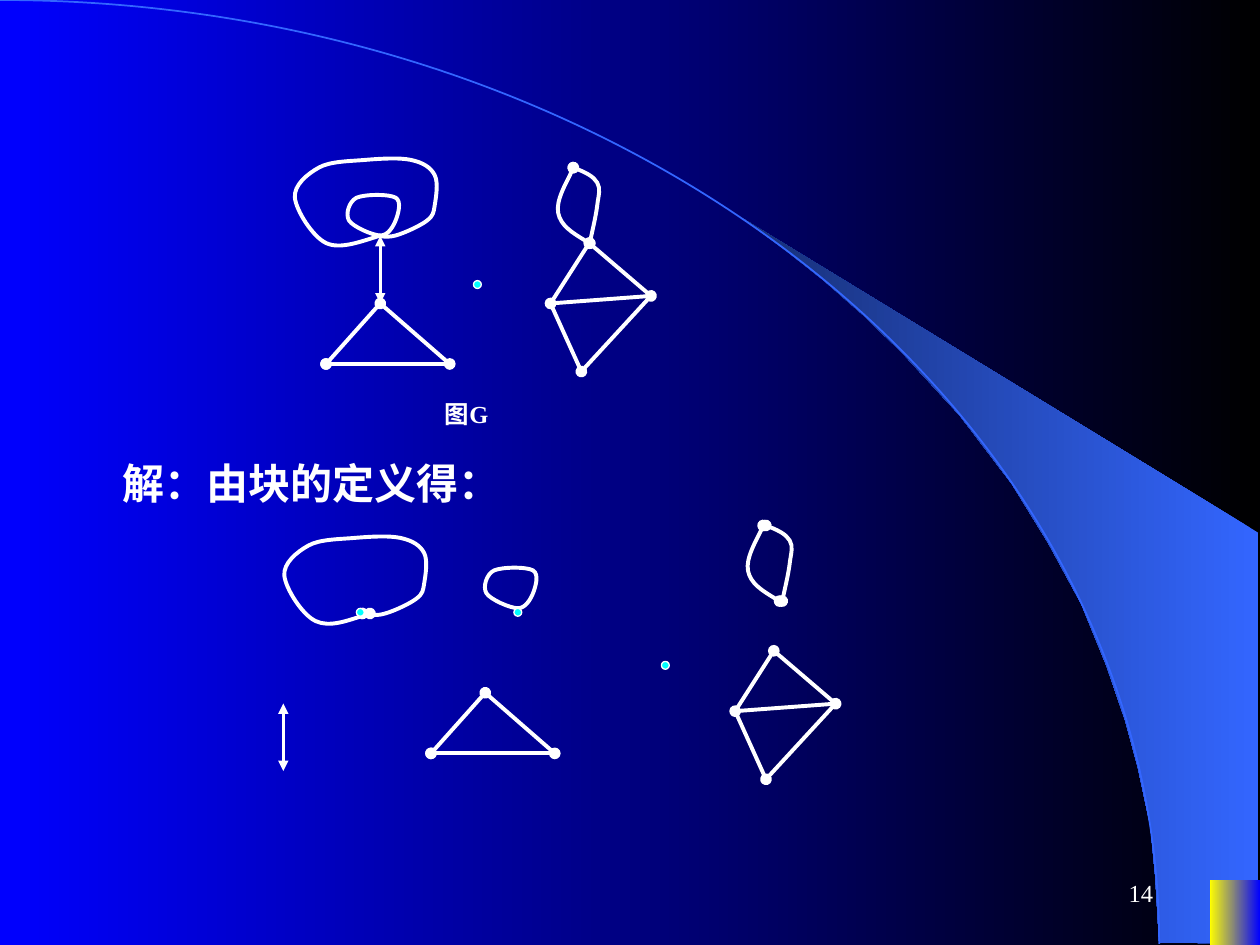
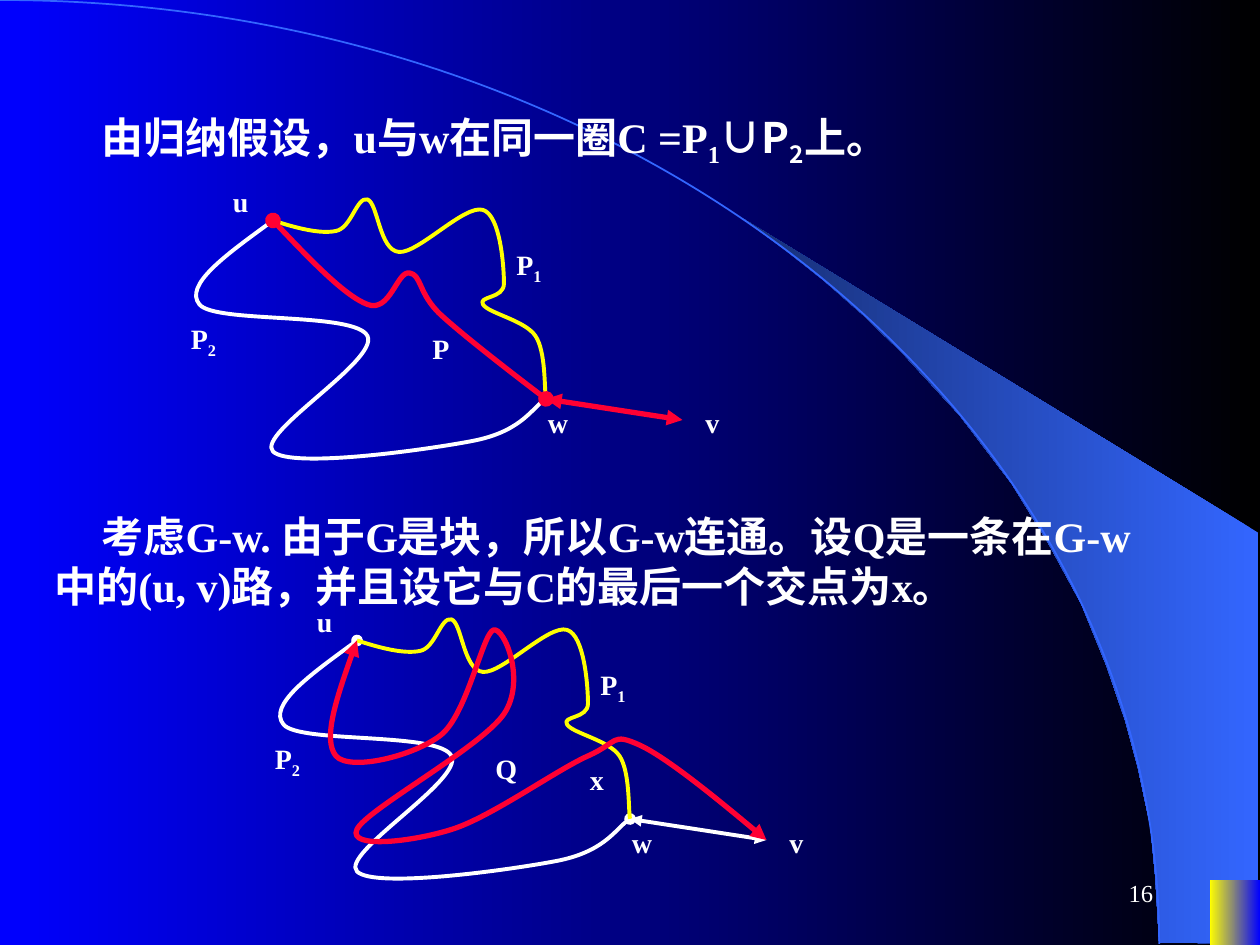
from dataclasses import dataclass, replace
from typing import NamedTuple

from lxml import etree
from pptx import Presentation
from pptx.dml.color import RGBColor
from pptx.enum.shapes import MSO_CONNECTOR as Connector, MSO_SHAPE as Preset
from pptx.enum.text import MSO_ANCHOR as Anchor, PP_ALIGN as Align
from pptx.oxml.ns import qn
from pptx.util import Pt

BLACK = RGBColor(0x00, 0x00, 0x00)
WHITE = RGBColor(0xFF, 0xFF, 0xFF)
BLUE = RGBColor(0x00, 0x00, 0xFF)
SKY = RGBColor(0x33, 0x66, 0xFF)
NAVY = RGBColor(0x17, 0x2F, 0x75)
YELLOW = RGBColor(0xFF, 0xFF, 0x00)
CYAN = RGBColor(0x00, 0xFF, 0xFF)
RED = RGBColor(0xFF, 0x00, 0x33)

LATIN_FONT = "Times New Roman"
CHINESE_FONT = "Noto Sans CJK SC"
BODY_INDENT = 27
VERTEX_DOT = 4.5


class Offset(NamedTuple):
    x: float = 0
    y: float = 0


class Piece(NamedTuple):
    """A stretch of text in one format."""
    text: str
    subscript: bool = False
    font: str = LATIN_FONT


class Label(NamedTuple):
    x: float
    y: float
    pieces: list[Piece]


@dataclass(frozen=True)
class Stroke:
    """A line or a chain of cubic curves: start, then two handles and an end each."""
    points: list[tuple[float, float]]
    ends: str | None = None
    color: RGBColor = WHITE
    width: float = 2.25


# Shared frame
FLARE = [(662.4, 538.6), (719.3, 539.3), (719.3, 304.6), (424.1, 124.6), (449.3, 143.3),
         (470.2, 159.8), (493.2, 180), (515.5, 201.6), (548.6, 237.6), (578.2, 276.5),
         (599, 310.3), (617.8, 344.9), (632.2, 380.2), (643, 411.8), (650.2, 438.5),
         (657.4, 472.3), (660.2, 501.1)]
HORIZON = Stroke([(0, 0), (365.8, 0), (662.4, 241.2), (662.4, 539.3)], None, SKY, 1)

# Blocks of graph G
OUTER_LOOP = Stroke([
    (217.4, 134.6), (205.9, 138.2), (194.4, 142.6), (186.5, 139),
    (178.6, 135.4), (169.2, 120.2), (168.5, 113),
    (167.8, 105.8), (175.7, 99.4), (182.2, 95.8),
    (188.6, 92.2), (199.4, 92.2), (208.8, 91.4),
    (217.4, 90.7), (228.2, 90), (234.7, 91.4),
    (241.9, 92.9), (246.2, 95.8), (248.4, 100.1),
    (250.6, 104.4), (249.1, 113), (248.4, 117.4),
    (247.7, 121.7), (247.7, 123.1), (244.1, 126),
    (240.5, 128.9), (231.1, 133.2), (226.1, 134.6),
    (221, 136.1), (215.3, 134.6), (213.1, 134.6)])
INNER_LOOP = Stroke([
    (217.4, 134.6), (213.1, 134.6), (201.6, 129.6), (199.4, 126),
    (197.3, 122.4), (199.4, 115.2), (203.8, 113),
    (208.8, 110.9), (222.5, 110.9), (226.1, 113),
    (229.7, 115.2), (227.5, 122.4), (226.1, 126),
    (224.6, 129.6), (221.8, 134.6), (217.4, 134.6)])
LEAF_LEFT = Stroke([
    (337, 139), (328.3, 133.9), (320.4, 128.9), (319, 121.7),
    (317.5, 114.5), (326.2, 100.1), (327.6, 95.8)], "oval")
LEAF_RIGHT = Stroke([
    (327.6, 95.8), (333.4, 97.9), (339.1, 100.8), (341.3, 104.4),
    (343.4, 108), (342, 111.6), (341.3, 117.4),
    (340.6, 123.1), (337.7, 135.4), (337, 139)], "oval")
BRIDGE = Stroke([(217.3, 134.8), (217.3, 173.4)], "triangle", width=1.5)

TOP, LEFT, RIGHT = (217.3, 173.4), (186.3, 208), (257, 208)
TRIANGLE = [Stroke([TOP, LEFT], "oval"), Stroke([LEFT, RIGHT], "oval"), Stroke([TOP, RIGHT])]

NORTH, WEST, EAST, SOUTH = (336.7, 138.9), (314.6, 173.4), (372, 169.1), (332.2, 212.3)
KITE = [Stroke([NORTH, WEST], "oval"), Stroke([WEST, SOUTH]), Stroke([NORTH, EAST]),
        Stroke([EAST, SOUTH], "oval"), Stroke([WEST, EAST])]

GRAPH = [BRIDGE, *TRIANGLE, *KITE, INNER_LOOP, OUTER_LOOP, LEAF_LEFT, LEAF_RIGHT]
SEPARATE_BLOCKS = [
    (Offset(-55.4, 267.2), [BRIDGE]),
    (Offset(60, 222.5), TRIANGLE),
    (Offset(105.5, 233), KITE),
    (Offset(108.5, 204.5), [LEAF_LEFT]),
    (Offset(110, 204.5), [LEAF_RIGHT]),
    (Offset(78.5, 213), [INNER_LOOP]),
    (Offset(-6, 216), [replace(OUTER_LOOP, ends="oval")]),
]
ISOLATED_VERTEX = (272.8, 162.6)
BLOCK_VERTICES = [(380.2, 380.2), (295.9, 349.9), (205.9, 349.9)]

# Paths of the cycle C and the paths P and Q
PATH_TWO = Stroke([
    (156, 126), (130, 145), (105, 163), (114, 174),
    (123, 185), (203, 178), (210, 192),
    (216.7, 206), (146, 247.7), (156, 258),
    (166, 268), (244, 257), (270, 252),
    (296, 247), (305.3, 231.8), (312, 228)], "oval")
PATH_ONE = Stroke([
    (156, 126), (169.2, 130.3), (182.9, 133.9), (192, 132),
    (200.9, 130.3), (203.8, 112.3), (210, 114),
    (216, 116), (216.7, 143), (228, 144),
    (239, 145), (265.7, 116.6), (276, 120),
    (286, 123), (288, 152.6), (288, 162),
    (288, 171), (273, 169), (276, 174),
    (279, 179), (300, 183), (306, 192),
    (312, 201), (311, 222), (312, 228)], color=YELLOW)
PATH_P = Stroke([
    (156, 126), (176.4, 147.6), (197.3, 169.2), (210, 174),
    (223, 179), (226.8, 154.8), (234, 156),
    (241, 157), (239, 168), (252, 180),
    (265, 192), (301.7, 220.3), (312, 228)], "oval", RED, 3)
PATH_Q = Stroke([
    (204, 366), (193.7, 394.6), (184.3, 422.6), (192, 432),
    (200, 441), (236.9, 432), (252, 420),
    (267, 408), (275.8, 362.2), (282, 360),
    (288, 358), (301, 388.8), (288, 408),
    (275, 427), (208.8, 463), (204, 474),
    (198.7, 485.3), (236, 481), (258, 474),
    (280, 467.3), (318, 440), (336, 432),
    (354, 424), (349, 418.3), (366, 426),
    (383, 434), (426, 470), (438, 480)], "triangle", RED, 3)
EDGE_WV = Stroke([(312, 228), (390, 240)], "triangle")
CYCLE_LABELS = [
    Label(126, 102, [Piece("u")]),
    Label(306, 228, [Piece("w")]),
    Label(396, 228, [Piece("v")]),
    Label(102, 180, [Piece("P"), Piece("2", True)]),
    Label(288, 138, [Piece("P"), Piece("1", True)]),
]
LOWER_CYCLE = Offset(48, 240)


def paint_gradient(fill, first: RGBColor, last: RGBColor) -> None:
    fill.gradient()
    fill.gradient_angle = 180
    for stop, color in zip(fill.gradient_stops, (first, last)):
        stop.color.rgb = color


def add_outline(slide, points: list[tuple[float, float]], close: bool):
    (start_x, start_y), *rest = [(Pt(x), Pt(y)) for x, y in points]
    builder = slide.shapes.build_freeform(start_x, start_y)
    builder.add_line_segments(rest, close=close)
    shape = builder.convert_to_shape()
    shape.shadow.inherit = False
    return shape


def bend_segments(shape) -> None:
    """Turn every three straight segments into one cubic curve."""
    segments = list(shape.element.iter(qn("a:lnTo")))
    for index in range(0, len(segments), 3):
        curve = etree.Element(qn("a:cubicBezTo"))
        segments[index].addprevious(curve)
        for segment in segments[index:index + 3]:
            curve.append(segment[0])
            segment.getparent().remove(segment)


def draw_stroke(slide, stroke: Stroke, offset: Offset = Offset()) -> None:
    points = [(x + offset.x, y + offset.y) for x, y in stroke.points]
    if len(points) == 2:
        ends = [Pt(value) for point in points for value in point]
        shape = slide.shapes.add_connector(Connector.STRAIGHT, *ends)
        etree.SubElement(shape.element.spPr, qn("a:effectLst"))
    else:
        shape = add_outline(slide, points, close=False)
        bend_segments(shape)
        shape.fill.background()
    shape.line.color.rgb = stroke.color
    shape.line.width = Pt(stroke.width)
    if stroke.ends:
        line = shape.element.spPr.find(qn("a:ln"))
        for tag in ("a:headEnd", "a:tailEnd"):
            etree.SubElement(line, qn(tag), type=stroke.ends)


def draw_vertex(slide, center_x: float, center_y: float) -> None:
    half = VERTEX_DOT / 2
    shape = slide.shapes.add_shape(Preset.OVAL, Pt(center_x - half), Pt(center_y - half),
                                   Pt(VERTEX_DOT), Pt(VERTEX_DOT))
    shape.shadow.inherit = False
    shape.fill.solid()
    shape.fill.fore_color.rgb = CYAN
    shape.line.color.rgb = WHITE
    shape.line.width = Pt(0.75)


def add_text(slide, box: tuple[float, float, float, float], pieces: list[Piece], size: float,
             bold: bool = True, align: Align = Align.LEFT, indent: float = 0):
    text_frame = slide.shapes.add_textbox(*map(Pt, box)).text_frame
    text_frame.word_wrap = True
    paragraph = text_frame.paragraphs[0]
    paragraph.alignment = align
    if indent:
        paragraph._p.get_or_add_pPr().set("indent", str(Pt(indent)))
    for piece in pieces:
        run = paragraph.add_run()
        run.text = piece.text
        run.font.size = Pt(size)
        run.font.bold = bold
        run.font.color.rgb = WHITE
        run.font.name = piece.font
        properties = run.font._element
        etree.SubElement(properties, qn("a:ea"), typeface=CHINESE_FONT)
        if piece.subscript:
            properties.set("baseline", "-25000")
    return text_frame


def add_body(slide, left: float, top: float, width: float, height: float,
             pieces: list[Piece]) -> None:
    add_text(slide, (left, top, width, height), pieces, 24, indent=BODY_INDENT)


def draw_label(slide, label: Label, offset: Offset = Offset()) -> None:
    add_text(slide, (label.x + offset.x, label.y + offset.y, 37.5, 26.5), label.pieces, 16)


def add_framed_slide(presentation, number: int):
    """Add a blank slide with background, flare, horizon, corner and page number."""
    slide = presentation.slides.add_slide(presentation.slide_layouts[6])
    paint_gradient(slide.background.fill, BLACK, BLUE)
    flare = add_outline(slide, FLARE, close=True)
    paint_gradient(flare.fill, SKY, NAVY)
    flare.line.fill.background()
    draw_stroke(slide, HORIZON)
    corner = slide.shapes.add_shape(Preset.RECTANGLE, Pt(691.2), Pt(502.6), Pt(28.8), Pt(37.4))
    corner.shadow.inherit = False
    paint_gradient(corner.fill, BLUE, YELLOW)
    corner.line.fill.background()
    page_number = add_text(slide, (516, 492, 150, 36), [Piece(str(number))], 14,
                           bold=False, align=Align.RIGHT)
    page_number.vertical_anchor = Anchor.MIDDLE
    return slide


def build_blocks_slide(presentation) -> None:
    slide = add_framed_slide(presentation, 14)
    for stroke in GRAPH:
        draw_stroke(slide, stroke)
    draw_vertex(slide, *ISOLATED_VERTEX)
    add_text(slide, (213, 224.6, 107.3, 24.5), [Piece("图G")], 14, align=Align.CENTER)
    add_body(slide, 36, 257.8, 606, 36, [Piece("解：由块的定义得：")])
    for offset, strokes in SEPARATE_BLOCKS:
        for stroke in strokes:
            draw_stroke(slide, stroke, offset)
    for center in BLOCK_VERTICES:
        draw_vertex(slide, *center)


def draw_cycle(slide, offset: Offset, edge: Stroke) -> None:
    for stroke in (PATH_TWO, PATH_ONE, edge):
        draw_stroke(slide, stroke, offset)
    for label in CYCLE_LABELS:
        draw_label(slide, label, offset)


def build_induction_slide(presentation) -> None:
    slide = add_framed_slide(presentation, 16)
    add_body(slide, 24, 60, 648, 40, [
        Piece("由归纳假设，u与w在同一圈C =P"), Piece("1", True),
        Piece("∪P", font=CHINESE_FONT), Piece("2", True, CHINESE_FONT), Piece("上。")])
    draw_cycle(slide, Offset(), replace(EDGE_WV, color=RED, width=3))
    draw_stroke(slide, PATH_P)
    draw_label(slide, Label(240, 186, [Piece("P")]))

    add_body(slide, 24, 288, 648, 64.8, [Piece(
        "考虑G-w. 由于G是块，所以G-w连通。设Q是一条在G-w中的(u, v)路，"
        "并且设它与C的最后一个交点为x。")])
    draw_cycle(slide, LOWER_CYCLE, EDGE_WV)
    draw_stroke(slide, PATH_Q)
    for label in (Label(276, 426, [Piece("Q")]), Label(330, 432, [Piece("x")])):
        draw_label(slide, label)


def main() -> None:
    presentation = Presentation()
    presentation.slide_width, presentation.slide_height = Pt(720), Pt(540)
    build_blocks_slide(presentation)
    build_induction_slide(presentation)
    presentation.save("out.pptx")


if __name__ == "__main__":
    main()
